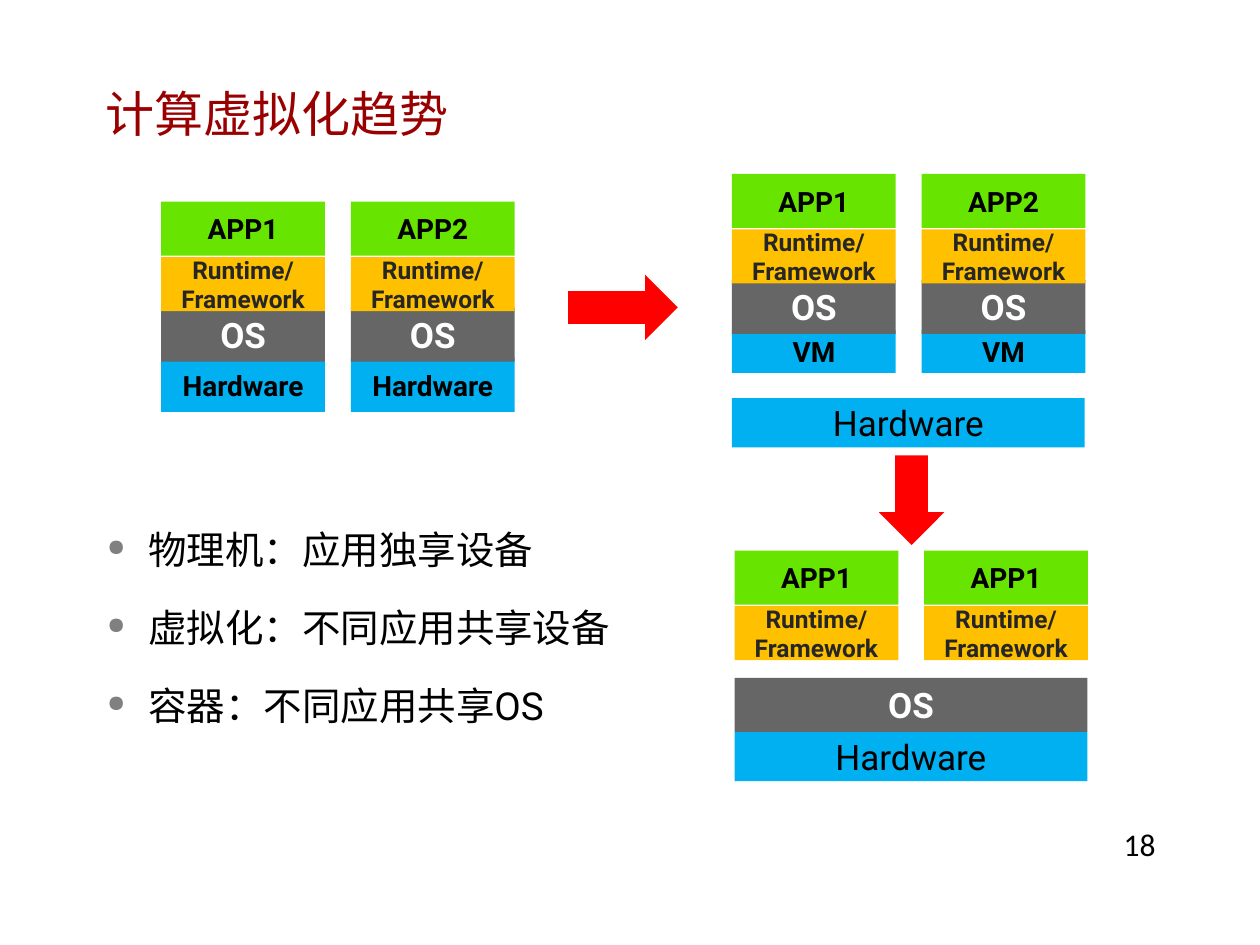
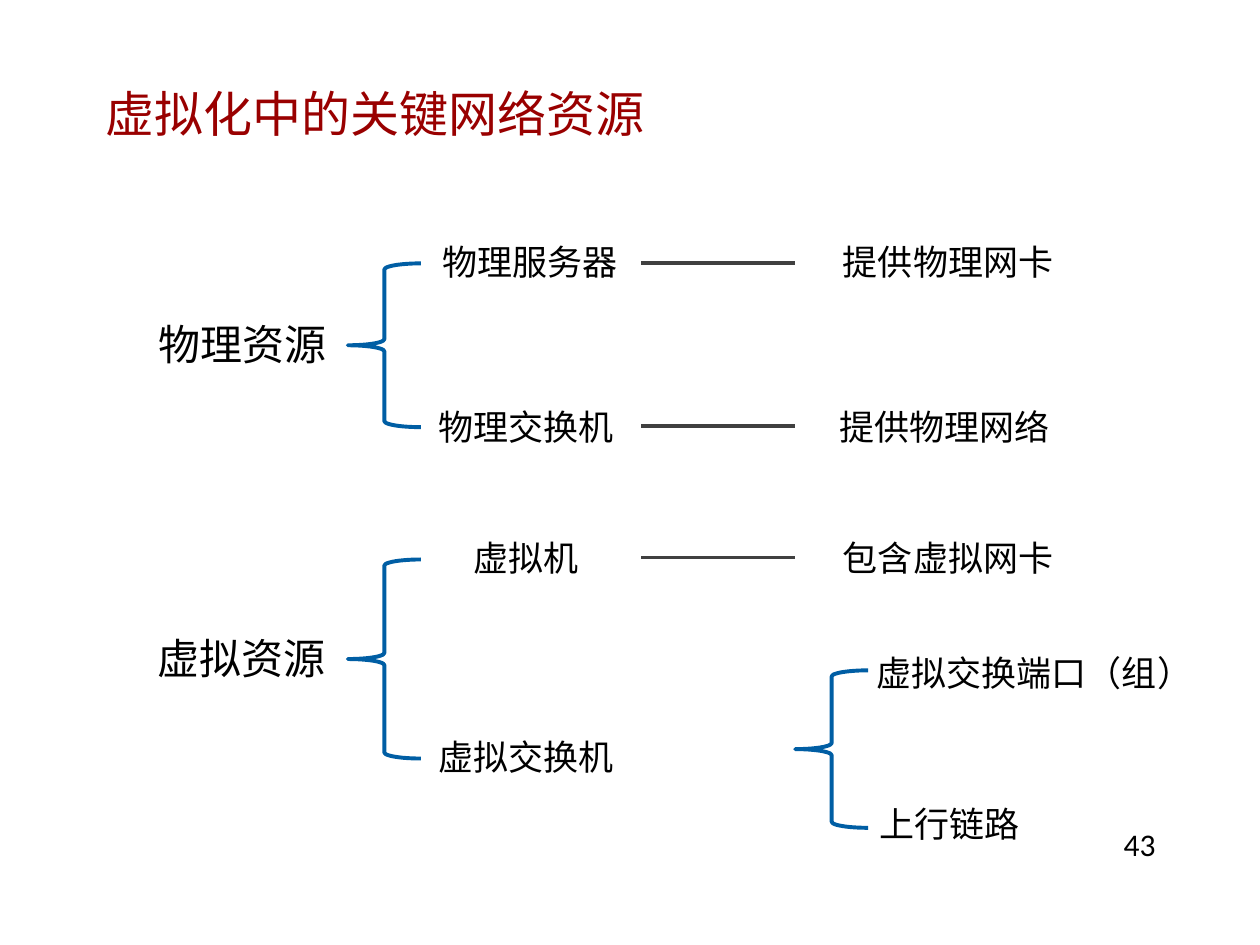
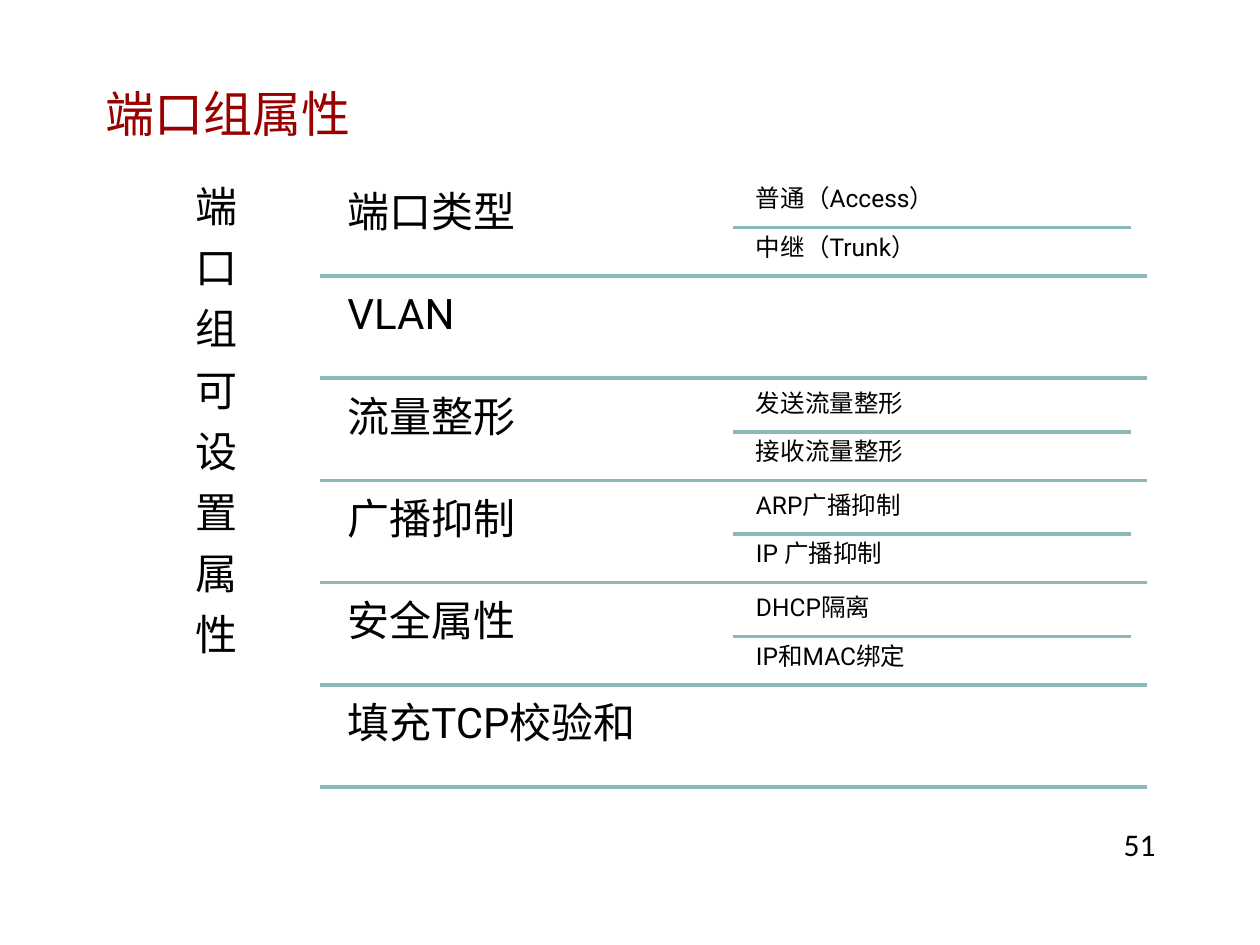
from dataclasses import dataclass, replace
from typing import NamedTuple

from lxml.etree import SubElement
from pptx import Presentation
from pptx.dml.color import RGBColor
from pptx.enum.shapes import MSO_CONNECTOR, MSO_SHAPE
from pptx.enum.text import MSO_ANCHOR as Anchor, PP_ALIGN as Align
from pptx.oxml.ns import qn
from pptx.slide import Slide
from pptx.text.text import TextFrame
from pptx.util import Inches, Length, Pt

# Grid: 100 columns by 75 rows of square cells
COLUMNS, ROWS = 100, 75
CELL = 0.1

# Colours
BLACK = RGBColor(0x00, 0x00, 0x00)
WHITE = RGBColor(0xFF, 0xFF, 0xFF)
CHARCOAL = RGBColor(0x26, 0x26, 0x26)
TITLE_RED = RGBColor(0x99, 0x00, 0x00)
ARROW_RED = RGBColor(0xFF, 0x00, 0x00)
APP_GREEN = RGBColor(0x67, 0xE4, 0x00)
RUNTIME_AMBER = RGBColor(0xFF, 0xC0, 0x00)
OS_GRAY = RGBColor(0x66, 0x66, 0x66)
HARDWARE_BLUE = RGBColor(0x00, 0xB0, 0xF0)
BRACE_BLUE = RGBColor(0x00, 0x5E, 0xA4)
LINK_GRAY = RGBColor(0x40, 0x40, 0x40)
RULE_TEAL = RGBColor(0x8A, 0xB9, 0xB9)
BULLET_GRAY = "808080"


class Area(NamedTuple):
    column: float
    row: float
    columns: float
    rows: float


@dataclass(frozen=True)
class TextStyle:
    size: float
    color: RGBColor = BLACK
    bold: bool = False
    font: str = "Roboto"
    align: Align = Align.LEFT
    anchor: Anchor = Anchor.TOP
    inset: tuple[float, float] = (1, 0.5)
    line_spacing: float = 1.0
    gap: float = 0
    bulleted: bool = False


@dataclass(frozen=True)
class Layer:
    lines: tuple[str, ...]
    fill: RGBColor
    style: TextStyle
    rows: float = 4.3


# Shared text styles
TITLE = TextStyle(28, TITLE_RED, anchor=Anchor.MIDDLE, inset=(0.9, 0.4))
PAGE_NUMBER = TextStyle(18, font="Calibri")
BODY = TextStyle(22, inset=(0.9, 0.4), line_spacing=1.4, gap=7.5, bulleted=True)
LAYER = TextStyle(16, bold=True, align=Align.CENTER, anchor=Anchor.MIDDLE)
NODE = TextStyle(20, align=Align.CENTER, inset=(1.1, 0.5))
ROOT = replace(NODE, size=24)
ATTRIBUTE = TextStyle(24, inset=(1, 1), line_spacing=0.9, gap=9)
OPTION = replace(ATTRIBUTE, size=14, inset=(0.6, 0.6))
VERTICAL = replace(ATTRIBUTE, align=Align.CENTER)

# Layers of the compute stacks
RUNTIME = Layer(("Runtime/", "Framework"), RUNTIME_AMBER,
                replace(LAYER, size=14, color=CHARCOAL))
SYSTEM = Layer(("OS",), OS_GRAY, replace(LAYER, size=20, color=WHITE))
HARDWARE = Layer(("Hardware",), HARDWARE_BLUE, LAYER)
MACHINE = Layer(("VM",), HARDWARE_BLUE, LAYER, rows=3.4)
SHARED_HARDWARE = Layer(("Hardware",), HARDWARE_BLUE,
                        replace(LAYER, size=20, bold=False), rows=3.9)
LAYER_OFFSETS = (0, 4.4, 8.4, 12.4)
STACK_COLUMNS, STACK_STEP = 13, 15.05
SHARED_COLUMNS = 28


def cells(count: float) -> Length:
    return Inches(count * CELL)


def place(area: Area) -> tuple[Length, ...]:
    return tuple(cells(value) for value in area)


def write(frame: TextFrame, lines: tuple[str, ...], style: TextStyle) -> None:
    frame.word_wrap = True
    frame.vertical_anchor = style.anchor
    frame.margin_left = frame.margin_right = cells(style.inset[0])
    frame.margin_top = frame.margin_bottom = cells(style.inset[1])
    for index, line in enumerate(lines):
        paragraph = frame.paragraphs[0] if index == 0 else frame.add_paragraph()
        paragraph.text = line
        if style.bulleted:
            add_bullet(paragraph)
        paragraph.alignment = style.align
        paragraph.line_spacing = style.line_spacing
        if index and style.gap:
            paragraph.space_before = Pt(style.gap)
        font = paragraph.font
        font.name, font.size, font.bold = style.font, Pt(style.size), style.bold
        font.color.rgb = style.color


def add_bullet(paragraph) -> None:
    properties = paragraph._p.get_or_add_pPr()
    properties.set("marL", str(cells(3.3)))
    properties.set("indent", str(-cells(3.3)))
    color = SubElement(properties, qn("a:buClr"))
    SubElement(color, qn("a:srgbClr"), val=BULLET_GRAY)
    SubElement(properties, qn("a:buSzPct"), val="60000")
    SubElement(properties, qn("a:buChar"), char="●")


def add_text(slide: Slide, area: Area, style: TextStyle, *lines: str) -> None:
    write(slide.shapes.add_textbox(*place(area)).text_frame, lines, style)


def add_line(slide: Slide, start: float, end: float, row: float,
             color: RGBColor, width: float) -> None:
    line = slide.shapes.add_connector(
        MSO_CONNECTOR.STRAIGHT, cells(start), cells(row), cells(end), cells(row))
    line.line.color.rgb = color
    line.line.width = Pt(width)
    SubElement(line._element.spPr, qn("a:effectLst"))


def add_filled(slide: Slide, kind: MSO_SHAPE, area: Area, fill: RGBColor):
    shape = slide.shapes.add_shape(kind, *place(area))
    shape.shadow.inherit = False
    shape.fill.solid()
    shape.fill.fore_color.rgb = fill
    shape.line.fill.background()
    return shape


def add_layer(slide: Slide, layer: Layer, column: float, row: float,
              columns: float) -> None:
    area = Area(column, row, columns, layer.rows)
    shape = add_filled(slide, MSO_SHAPE.RECTANGLE, area, layer.fill)
    write(shape.text_frame, layer.lines, layer.style)


def add_stack_pair(slide: Slide, column: float, row: float,
                   apps: tuple[str, str], *below: Layer) -> None:
    """Draw two stacks side by side, each from its bottom layer up."""
    for index, app in enumerate(apps):
        layers = (Layer((app,), APP_GREEN, LAYER), *below)
        for offset, layer in reversed(list(zip(LAYER_OFFSETS, layers))):
            add_layer(slide, layer, column + index * STACK_STEP, row + offset,
                      STACK_COLUMNS)


def add_brace(slide: Slide, area: Area) -> None:
    brace = slide.shapes.add_shape(MSO_SHAPE.RIGHT_BRACE, *place(area))
    brace.rotation = 180
    brace.shadow.inherit = False
    brace.fill.background()
    brace.line.color.rgb = BRACE_BLUE
    brace.line.width = Pt(2.25)


def add_page(presentation, title: str, number: int) -> Slide:
    slide = presentation.slides.add_slide(presentation.slide_layouts[6])
    add_text(slide, Area(7.5, 4.2, 86.6, 9.5), TITLE, title)
    add_text(slide, Area(88.2, 65, 16.6, 3.6), PAGE_NUMBER, str(number))
    return slide


def build_trend(presentation) -> None:
    slide = add_page(presentation, "计算虚拟化趋势", 18)
    add_text(slide, Area(7.6, 39.9, 68.3, 19.9), BODY,
             "物理机：应用独享设备", "虚拟化：不同应用共享设备", "容器：不同应用共享OS")

    # Physical machines, virtual machines, containers
    add_stack_pair(slide, 12.8, 16, ("APP1", "APP2"), RUNTIME, SYSTEM, HARDWARE)
    add_stack_pair(slide, 58.1, 13.8, ("APP1", "APP2"), RUNTIME, SYSTEM, MACHINE)
    add_layer(slide, SHARED_HARDWARE, 58.1, 31.6, SHARED_COLUMNS)
    add_stack_pair(slide, 58.3, 43.7, ("APP1", "APP1"), RUNTIME)
    add_layer(slide, SHARED_HARDWARE, 58.3, 58.1, SHARED_COLUMNS)
    add_layer(slide, SYSTEM, 58.3, 53.8, SHARED_COLUMNS)

    # Steps from one kind to the next
    for area, rotation in ((Area(45.1, 21.8, 8.7, 5.2), 0),
                           (Area(68.8, 37.1, 7.1, 5.2), 90)):
        arrow = add_filled(slide, MSO_SHAPE.RIGHT_ARROW, area, ARROW_RED)
        arrow.rotation = rotation


def build_resources(presentation) -> None:
    slide = add_page(presentation, "虚拟化中的关键网络资源", 43)
    for area in (Area(27.6, 20.9, 5.8, 13), Area(27.6, 44.4, 5.8, 15.8),
                 Area(63.1, 53.2, 5.8, 12.5)):
        add_brace(slide, area)

    for text, column, row in (("物理资源", 10.8, 24.8), ("虚拟资源", 10.7, 49.7)):
        add_text(slide, Area(column, row, 16.9, 5.1), ROOT, text)

    for text, column, row, columns in (
        ("物理服务器", 33.6, 18.6, 16.9),
        ("物理交换机", 33.3, 31.7, 16.9),
        ("虚拟机", 33.3, 42.1, 16.9),
        ("虚拟交换机", 33.1, 57.9, 17.3),
        ("提供物理网卡", 65, 18.6, 20.5),
        ("提供物理网络", 64.7, 31.7, 20.5),
        ("包含虚拟网卡", 65, 42.1, 20.5),
        ("虚拟交换端口（组）", 68.1, 51.2, 28),
        ("上行链路", 68.1, 63.2, 14.6),
    ):
        add_text(slide, Area(column, row, columns, 4.5), NODE, text)

    for row in (20.85, 33.8, 44.25):
        add_line(slide, 50.9, 63.1, row, LINK_GRAY, 2.25)


def build_attributes(presentation) -> None:
    slide = add_page(presentation, "端口组属性", 51)
    top, pitch, option_rows = 13.8, 8.11, 3.87
    add_text(slide, Area(9, top, 16.4, 49), VERTICAL, *"端口组可设置属性")

    attributes = (
        ("端口类型", ("普通（Access）", "中继（Trunk）")),
        ("VLAN", ()),
        ("流量整形", ("发送流量整形", "接收流量整形")),
        ("广播抑制", ("ARP广播抑制", "IP 广播抑制")),
        ("安全属性", ("DHCP隔离", "IP和MAC绑定")),
        ("填充TCP校验和", ()),
    )
    for index, (name, options) in enumerate(attributes):
        row = top + index * pitch
        text_row = row + 0.4
        add_text(slide, Area(26.6, text_row, 31.6, 7.7), ATTRIBUTE, name)
        for position, option in enumerate(options):
            option_row = text_row + position * option_rows
            add_text(slide, Area(59.4, option_row, 31.6, option_rows), OPTION, option)
        if options:
            add_line(slide, 58.2, 89.8, text_row + option_rows, RULE_TEAL, 2)
        add_line(slide, 25.4, 91, row + pitch, RULE_TEAL, 2)


def main() -> None:
    presentation = Presentation()
    presentation.slide_width = cells(COLUMNS)
    presentation.slide_height = cells(ROWS)
    build_trend(presentation)
    build_resources(presentation)
    build_attributes(presentation)
    presentation.save("out.pptx")


if __name__ == "__main__":
    main()
